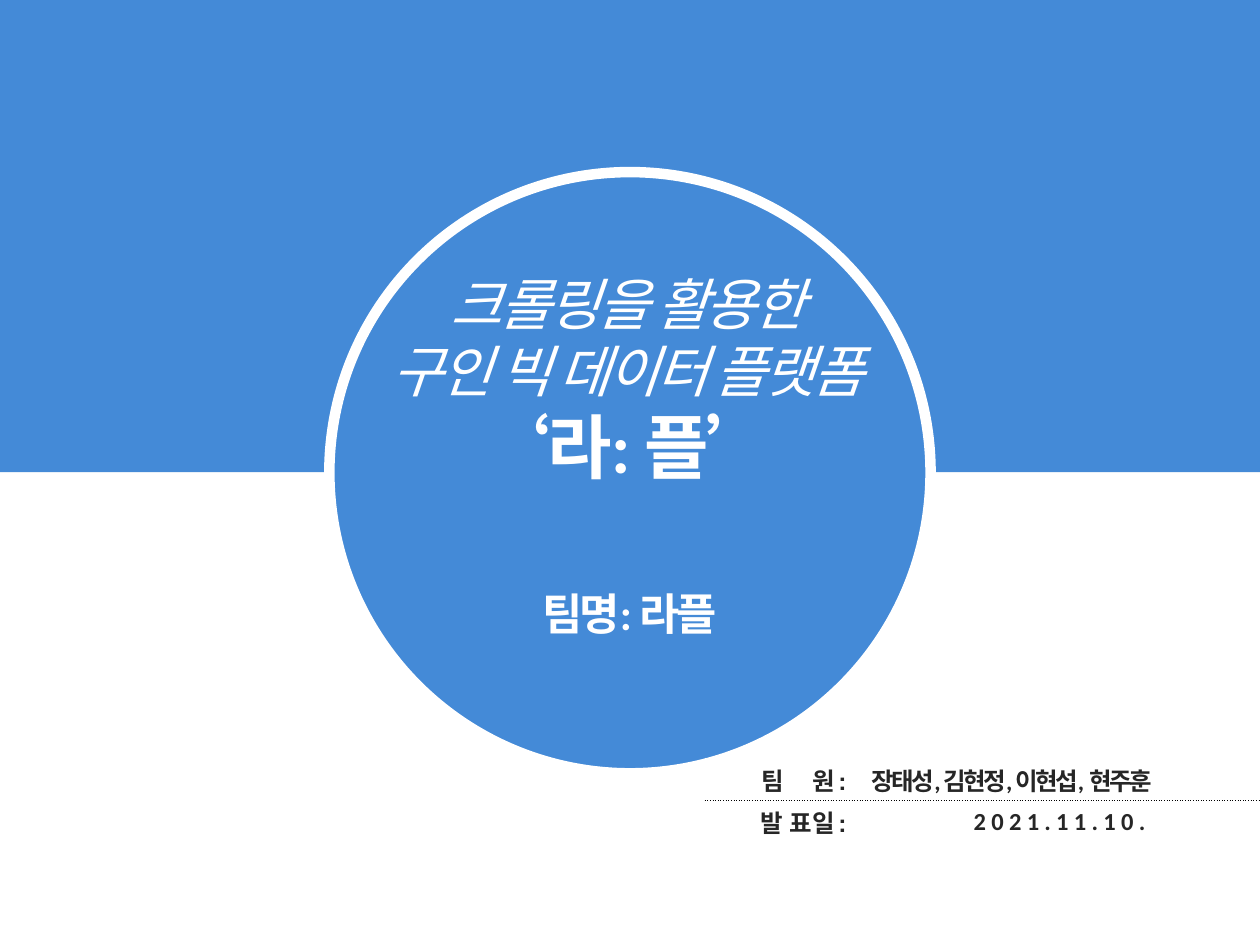
from lxml.etree import fromstring
from pptx import Presentation
from pptx.dml.color import RGBColor
from pptx.enum.shapes import MSO_SHAPE
from pptx.enum.text import MSO_ANCHOR, MSO_AUTO_SIZE, PP_ALIGN
from pptx.util import Cm, Pt

BLUE, WHITE, DARK = "448AD7", "FFFFFF", "262626"
TIGHT = -1.5
NS = "http://schemas.openxmlformats.org/drawingml/2006/main"
DOTS = (f'<a:{{}} xmlns:a="{NS}" w="9525"><a:solidFill><a:srgbClr val="000000"/>'
        '</a:solidFill><a:prstDash val="dot"/></a:{}>')


def color(code):
    return RGBColor.from_string(code)


def add_run(para, text, tint, gap=TIGHT, **form):
    """Add a run; gap is the letter spacing in points."""
    run = para.add_run()
    run.text = text
    for name, value in form.items():
        setattr(run.font, name, value)
    run.font.color.rgb = color(tint)
    run._r.get_or_add_rPr().set("spc", str(round(gap * 100)))


def add_shape(slide, kind, box, edge=None):
    shape = slide.shapes.add_shape(kind, *map(Cm, box))
    shape.shadow.inherit = False
    shape.fill.solid()
    shape.fill.fore_color.rgb = color(BLUE)
    if edge:
        shape.line.color.rgb = color(edge)
        shape.line.width = Pt(6)
    else:
        shape.line.fill.background()


def add_text(slide, box, lines, wrap):
    """Add centred white lines, each a pair of text and format."""
    frame = slide.shapes.add_textbox(*map(Cm, box)).text_frame
    frame.word_wrap = wrap
    frame.auto_size = MSO_AUTO_SIZE.SHAPE_TO_FIT_TEXT
    for i, (text, form) in enumerate(lines):
        para = frame.add_paragraph() if i else frame.paragraphs[0]
        para.alignment = PP_ALIGN.CENTER
        add_run(para, text, WHITE, name="Calibri", **form)


def fill_cell(cell, side, align, face, runs):
    """Write the runs and draw a dotted border on one side."""
    cell.fill.background()
    cell.vertical_anchor = MSO_ANCHOR.MIDDLE
    cell.margin_top = cell.margin_bottom = 0
    cell._tc.get_or_add_tcPr().insert(0, fromstring(DOTS.format(side, side)))
    para = cell.text_frame.paragraphs[0]
    para.alignment = align
    for text, gap in runs:
        add_run(para, text, DARK, gap, name=face, size=Pt(14), bold=True)


def add_table(slide, box, widths, rows):
    table = slide.shapes.add_table(len(rows), len(widths), *map(Cm, box)).table
    table.first_row = table.horz_banding = False
    for col, width in zip(table.columns, widths):
        col.width = Cm(width)
    for r, (side, cells) in enumerate(rows):
        for c, (align, face, runs) in enumerate(cells):
            fill_cell(table.cell(r, c), side, align, face, runs)


def main():
    deck = Presentation()
    deck.slide_width, deck.slide_height = Cm(25.4), Cm(19.05)
    slide = deck.slides.add_slide(deck.slide_layouts[6])

    add_shape(slide, MSO_SHAPE.RECTANGLE, (0, 0, 25.4, 9.52))
    add_shape(slide, MSO_SHAPE.FLOWCHART_CONNECTOR, (6.64, 3.47, 12.12, 12.12), WHITE)

    thin = {"size": Pt(32), "italic": True}
    add_text(slide, (7.11, 5.31, 11.1, 4.7), [
        ("크롤링을 활용한", thin),
        ("구인 빅 데이터 플랫폼", thin),
        ("‘라: 플’", {"size": Pt(40), "bold": True}),
    ], wrap=False)
    add_text(slide, (10.01, 11.71, 5.36, 1.32),
             [("팀명: 라플", {"size": Pt(25), "bold": True})], wrap=True)

    right, left, mid = PP_ALIGN.RIGHT, PP_ALIGN.LEFT, PP_ALIGN.CENTER
    add_table(slide, (14.22, 15.29, 11.18, 1.7), (3.1, 8.08), [
        ("lnB", [
            (right, "Arial", [("팀", TIGHT), (" ", 13), ("원 :", TIGHT)]),
            (left, "Calibri", [("장태성, 김현정, 이현섭,", TIGHT), (" ", 0),
                               ("현주훈", TIGHT)]),
        ]),
        ("lnT", [
            (right, "Arial", [("발", TIGHT), (" ", 1), ("표 일 :", TIGHT)]),
            (mid, "Calibri", [("2021.11.10.", 3)]),
        ]),
    ])
    deck.save("out.pptx")


if __name__ == "__main__":
    main()
